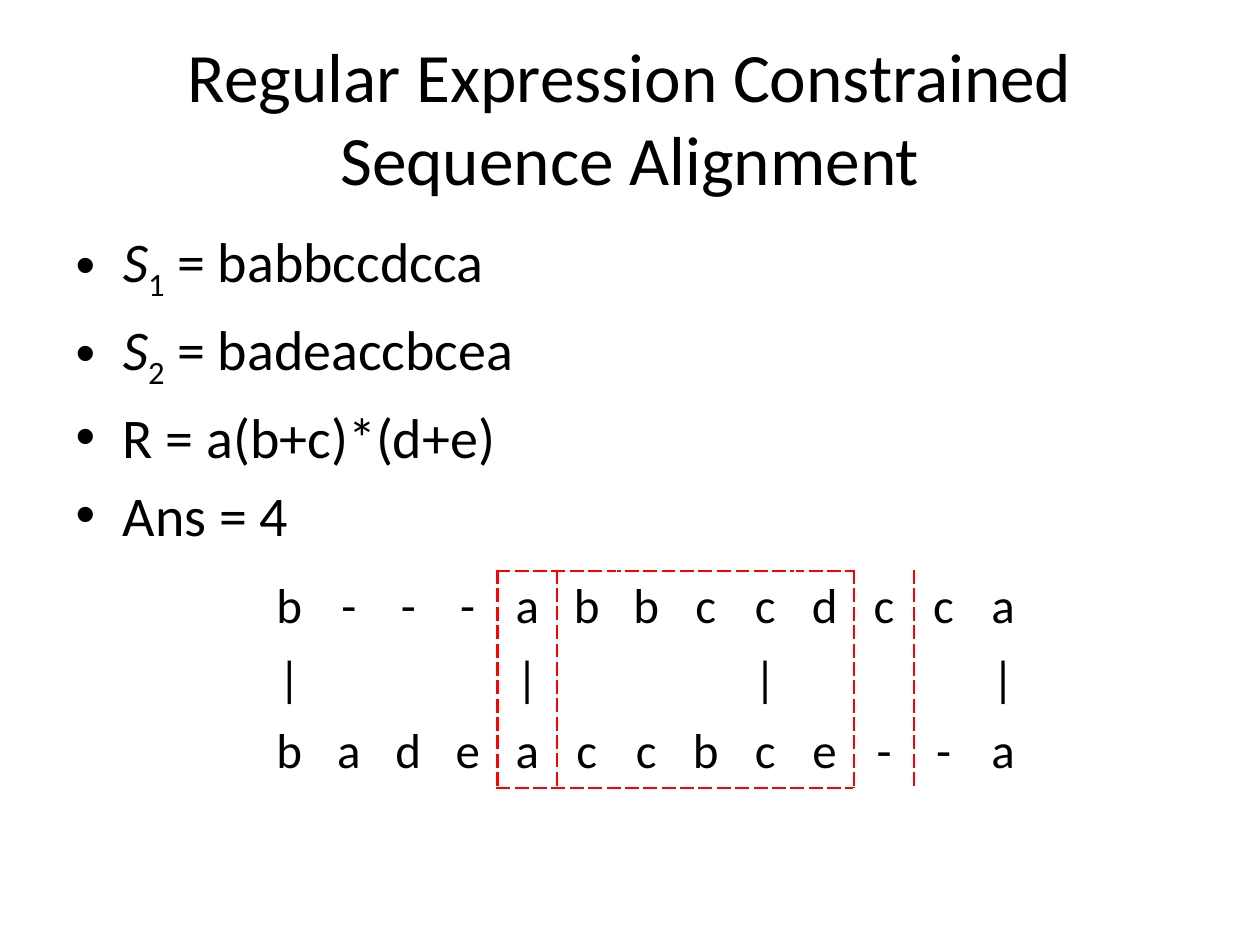
from lxml.etree import SubElement
from pptx import Presentation
from pptx.dml.color import RGBColor
from pptx.enum.text import MSO_ANCHOR, MSO_AUTO_SIZE, PP_ALIGN
from pptx.oxml.ns import qn
from pptx.util import Inches, Pt

FONT = "Calibri"
BLACK = RGBColor(0x00, 0x00, 0x00)
RED = RGBColor(0xFF, 0x00, 0x00)

TITLE = "Regular Expression Constrained Sequence Alignment"
# Each bullet: italic symbol, subscript, plain text
BULLETS = [
    ("S", "1", " = babbccdcca"),
    ("S", "2", " = badeaccbcea"),
    ("", "", "R = a(b+c)*(d+e)"),
    ("", "", "Ans = 4"),
]
FIRST_SEQUENCE = "b---abbccdcca"
SECOND_SEQUENCE = "badeaccbcea"[:10] + "--a"
MATCH_COLUMNS = (0, 4, 8, 12)
BOX_FIRST, BOX_LAST = 4, 9  # columns that match the expression R

TABLE_LEFT, TABLE_TOP, TABLE_WIDTH, ROW_HEIGHT = 2.06, 4.53, 6.14, 0.57


def place(shape, left, top, width, height):
    shape.left, shape.top = Inches(left), Inches(top)
    shape.width, shape.height = Inches(width), Inches(height)


def format_font(font, size):
    font.name = FONT
    font.size = Pt(size)
    font.color.rgb = BLACK


def box_sides(row, column, last_row):
    """Name the sides of a cell, in schema order, that lie on the dashed box."""
    inside = BOX_FIRST <= column <= BOX_LAST
    tests = {
        "L": column in (BOX_FIRST, BOX_LAST + 1),
        "R": column in (BOX_FIRST - 1, BOX_LAST),
        "T": inside and row == 0,
        "B": inside and row == last_row,
    }
    return [side for side, on_box in tests.items() if on_box]


def add_dashed_borders(cell, sides):
    properties = cell._tc.get_or_add_tcPr()
    for index, side in enumerate(sides):
        line = SubElement(properties, qn(f"a:ln{side}"), w=str(Pt(1.5)))
        fill = SubElement(line, qn("a:solidFill"))
        SubElement(fill, qn("a:srgbClr"), val=str(RED))
        SubElement(line, qn("a:prstDash"), val="sysDash")
        properties.insert(index, line)


def add_bullets(text_frame):
    for index, (symbol, subscript, text) in enumerate(BULLETS):
        paragraph = text_frame.paragraphs[0] if index == 0 else text_frame.add_paragraph()
        for part in (symbol, subscript, text):
            if not part:
                continue
            run = paragraph.add_run()
            run.text = part
            format_font(run.font, 32)
            if part == symbol:
                run.font.italic = True
            elif part == subscript:
                run.font._element.set("baseline", "-25000")


def add_alignment_table(slide):
    columns = range(len(FIRST_SEQUENCE))
    matches = ["|" if column in MATCH_COLUMNS else "" for column in columns]
    rows = [FIRST_SEQUENCE, matches, SECOND_SEQUENCE]
    table = slide.shapes.add_table(
        len(rows), len(columns), Inches(TABLE_LEFT), Inches(TABLE_TOP),
        Inches(TABLE_WIDTH), Inches(ROW_HEIGHT * len(rows)),
    ).table
    table.first_row = False
    table.horz_banding = False
    for row, letters in enumerate(rows):
        for column, letter in enumerate(letters):
            cell = table.cell(row, column)
            cell.fill.background()
            cell.vertical_anchor = MSO_ANCHOR.MIDDLE
            add_dashed_borders(cell, box_sides(row, column, len(rows) - 1))
            paragraph = cell.text_frame.paragraphs[0]
            paragraph.text = letter
            paragraph.alignment = PP_ALIGN.CENTER
            for run in paragraph.runs:
                format_font(run.font, 28)


def main():
    presentation = Presentation()
    presentation.slide_width, presentation.slide_height = Inches(10), Inches(7.5)
    slide = presentation.slides.add_slide(presentation.slide_layouts[1])

    title, body = slide.placeholders
    place(title, 0.5, 0.3, 9, 1.25)
    title.text_frame.text = TITLE
    title.text_frame.auto_size = MSO_AUTO_SIZE.NONE
    title.text_frame.vertical_anchor = MSO_ANCHOR.MIDDLE
    format_font(title.text_frame.paragraphs[0].runs[0].font, 39.6)

    place(body, 0.5, 1.75, 9, 4.95)
    add_bullets(body.text_frame)
    add_alignment_table(slide)
    presentation.save("out.pptx")


if __name__ == "__main__":
    main()
